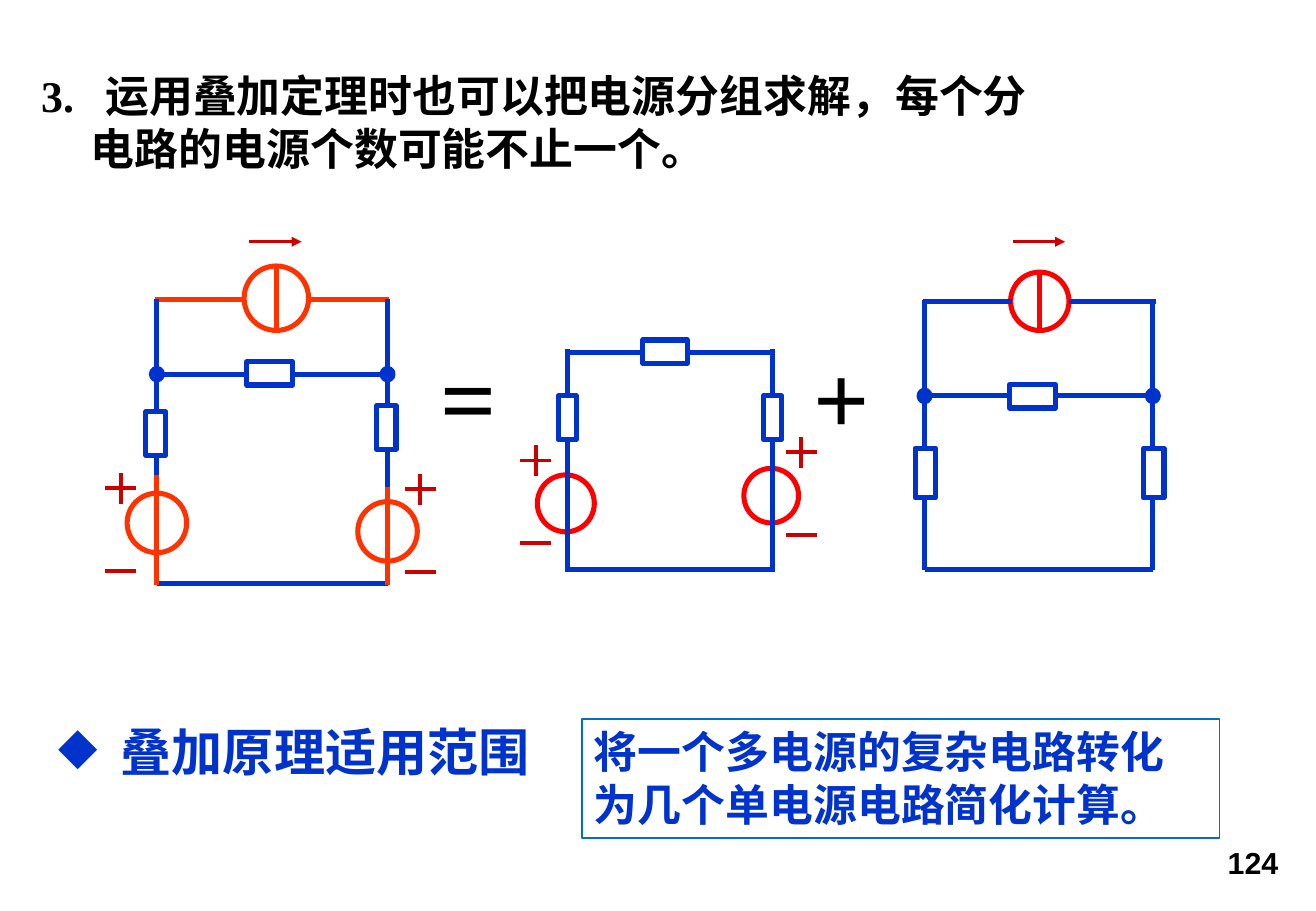
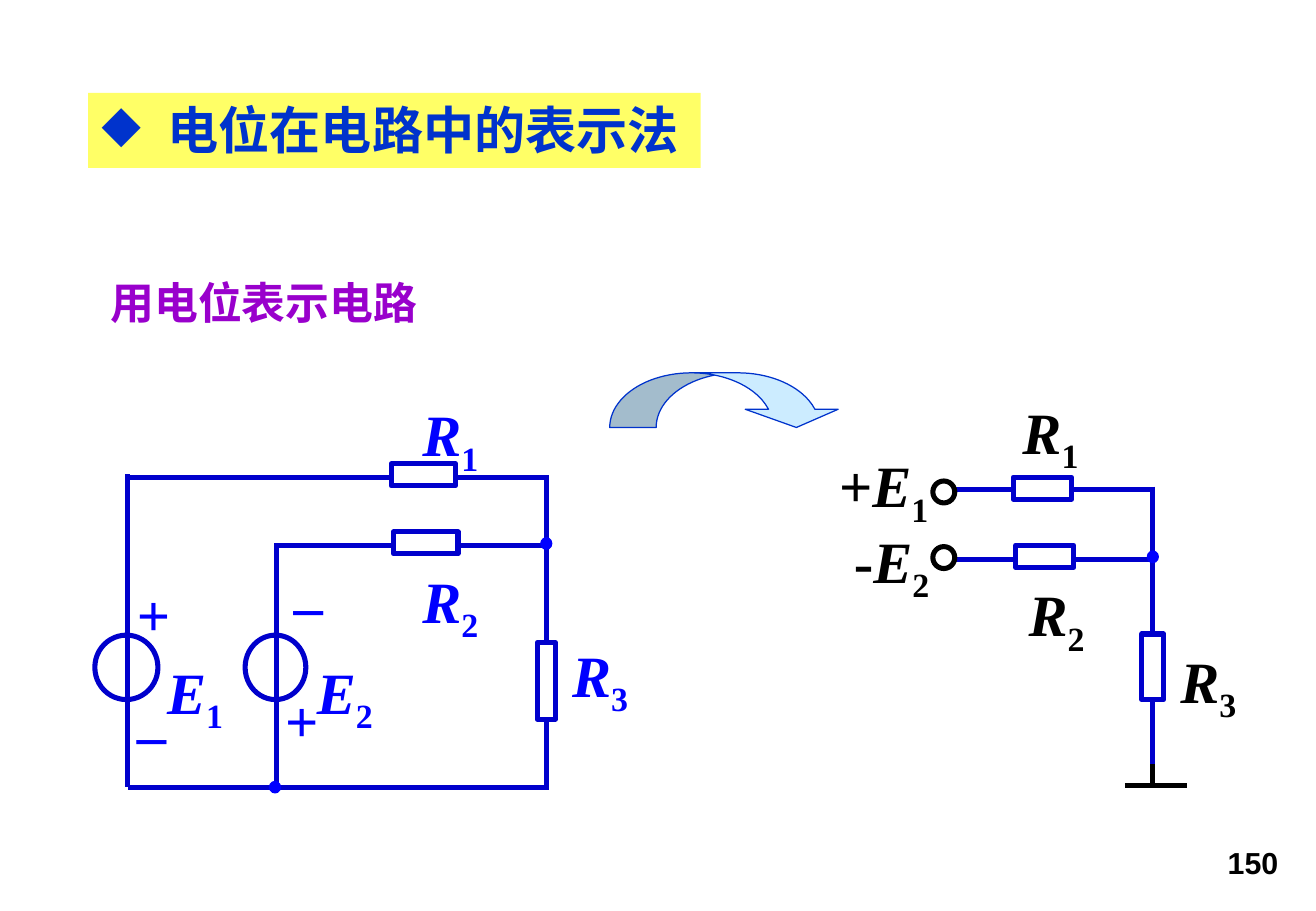
import itertools

import pptx
import pptx.dml.color
import pptx.enum.shapes
import pptx.enum.text
import pptx.oxml
import pptx.oxml.ns
import pptx.util
from lxml import etree

Pt = pptx.util.Pt
RGBColor = pptx.dml.color.RGBColor
SHAPE = pptx.enum.shapes.MSO_SHAPE
ALIGN = pptx.enum.text.PP_ALIGN
qn = pptx.oxml.ns.qn

BLACK = RGBColor(0x00, 0x00, 0x00)
WHITE = RGBColor(0xFF, 0xFF, 0xFF)
BLUE = RGBColor(0x00, 0x33, 0xCC)
NAVY = RGBColor(0x00, 0x00, 0xCC)
BRIGHT = RGBColor(0x00, 0x00, 0xFF)
RED = RGBColor(0xFF, 0x00, 0x00)
ORANGE = RGBColor(0xFF, 0x33, 0x00)
CRIMSON = RGBColor(0xCC, 0x00, 0x00)
FRAME = RGBColor(0x00, 0x70, 0xC0)
YELLOW = RGBColor(0xFF, 0xFF, 0x66)
PURPLE = RGBColor(0x99, 0x00, 0xCC)
SKY = RGBColor(0xCC, 0xEC, 0xFF)

SERIF = "Times New Roman"
WIRE = 3
BODY, HEADING, SYMBOL = 26, 30.3, 34.7


def add_line(s, start, end, color, width=WIRE, arrow=False):
    line = s.shapes.add_connector(
        pptx.enum.shapes.MSO_CONNECTOR.STRAIGHT, *map(Pt, (*start, *end)))
    line.line.color.rgb = color
    line.line.width = Pt(width)
    if arrow:
        etree.SubElement(line.line._get_or_add_ln(), qn("a:tailEnd"), type="triangle")
    etree.SubElement(line._element.spPr, qn("a:effectLst"))


def add_wire(s, color, *points):
    for start, end in itertools.pairwise(points):
        add_line(s, start, end, color)


def add_shape(s, kind, x, y, w, h, fill=None, color=None, width=WIRE):
    sp = s.shapes.add_shape(kind, Pt(x), Pt(y), Pt(w), Pt(h))
    sp.shadow.inherit = False
    if fill is None:
        sp.fill.background()
    else:
        sp.fill.solid()
        sp.fill.fore_color.rgb = fill
    if color is None:
        sp.line.fill.background()
    else:
        sp.line.color.rgb = color
        sp.line.width = Pt(width)
    return sp


def add_centred(s, kind, cx, cy, w, h, fill, color, width=WIRE):
    return add_shape(s, kind, cx - w / 2, cy - h / 2, w, h, fill, color, width)


def add_resistor(s, cx, cy, w, h, color):
    add_centred(s, SHAPE.RECTANGLE, cx, cy, w, h, WHITE, color)


def add_circle(s, cx, cy, w, h, color, fill=WHITE):
    add_centred(s, SHAPE.OVAL, cx, cy, w, h, fill, color)


def add_node(s, cx, cy, color, width=WIRE):
    add_centred(s, SHAPE.OVAL, cx, cy, 6.5, 6.8, color, color, width)


def add_current_source(s, cx, cy, d, color):
    add_circle(s, cx, cy, d, d, color)
    add_line(s, (cx, cy - d / 2), (cx, cy + d / 2), color)
    add_line(s, (cx - 16, 143.3), (cx + 15, 143.3), CRIMSON, 1.5, arrow=True)


def add_polarity(s, cx, cy):
    half, drop = 9.2, 49
    for y in (cy, cy + drop):
        add_line(s, (cx - half, y), (cx + half, y), CRIMSON, 2.25)
    add_line(s, (cx, cy + half), (cx, cy - half), CRIMSON, 2.25)


def style_run(r, size, color, font=SERIF, italic=False):
    r.font.name = font
    r.font.size = Pt(size)
    r.font.bold = True
    r.font.italic = italic
    r.font.color.rgb = color


def set_text(sp, text, size, color, font=SERIF, align=ALIGN.LEFT):
    tf = sp.text_frame
    tf.word_wrap = True
    tf.vertical_anchor = pptx.enum.text.MSO_ANCHOR.TOP
    tf.text = text
    for p in tf.paragraphs:
        p.alignment = align
        for r in p.runs:
            style_run(r, size, color, font)
    return tf


def add_text(s, x, y, w, h, text, size, color, **style):
    sp = s.shapes.add_textbox(Pt(x), Pt(y), Pt(w), Pt(h))
    return set_text(sp, text, size, color, **style)


def set_bullet(p, indent):
    pPr = p._p.get_or_add_pPr()
    pPr.set("marL", str(Pt(indent)))
    pPr.set("indent", str(-Pt(indent)))
    etree.SubElement(pPr, qn("a:buChar"), char="◆")


def add_label(s, x, y, color, sign="", letter="", sub=""):
    tf = s.shapes.add_textbox(Pt(x), Pt(y), Pt(80), Pt(50)).text_frame
    tf.word_wrap = True
    for text in filter(None, (sign, letter, sub)):
        r = tf.paragraphs[0].add_run()
        r.text = text
        style_run(r, SYMBOL, color, italic=text == letter)
        if text == sub:
            r._r.get_or_add_rPr().set("baseline", "-25000")


def add_page_number(s, number):
    add_text(s, 549.4, 496.8, 215.3, 28.8, number, 18, BLACK,
             font="Arial", align=ALIGN.RIGHT)


def draw_full_circuit(s):
    left, right, top, middle, bottom = 93, 229.7, 177.3, 221.8, 345.6
    add_wire(s, BLUE, (left, middle), (right, middle))
    add_wire(s, BLUE, (left, bottom), (right, bottom))
    add_wire(s, ORANGE, (left - 1, top), (143.3, top))
    add_wire(s, ORANGE, (181.4, top), (right + 1, top))
    for x, y, split, resistor_y in ((left, 310, 281.5, 257), (right, 315, 288.7, 253.4)):
        add_wire(s, BLUE, (x, top), (x, split))
        add_circle(s, x, y, 35.3, 35.3, ORANGE)
        add_wire(s, ORANGE, (x, split), (x, bottom + 1))
        add_resistor(s, x - 0.7, resistor_y, 11.5, 25.9, BLUE)
        add_node(s, x, middle, BLUE)
    add_resistor(s, 159.8, 221.4, 27.4, 13.7, BLUE)
    add_current_source(s, 163.8, 176.8, 38.2, ORANGE)
    add_polarity(s, 71.5, 289.4)
    add_polarity(s, 249, 290)


def draw_voltage_circuit(s):
    left, right, top, bottom = 336.2, 457.9, 208.8, 337.7
    add_wire(s, BLUE, (left, top), (right, top))
    add_wire(s, BLUE, (left, bottom), (right, bottom))
    for x, y, d in ((left, 298.4, 33.8), (right, 293.8, 32.4)):
        add_circle(s, x - 0.8, y, d, d, RED)
        add_wire(s, BLUE, (x, top - 2), (x, bottom + 1.5))
        add_resistor(s, x, 247.7, 10.8, 25.9, BLUE)
    add_resistor(s, 394.3, 208.4, 26.6, 13.7, BLUE)
    add_polarity(s, 317.5, 273)
    add_polarity(s, 475, 268)


def draw_current_circuit(s):
    left, right, top, middle, bottom = 548, 683.3, 178.6, 234.7, 337.7
    add_current_source(s, 616.3, top, 34.6, RED)
    add_wire(s, BLUE, (599.8, top), (left - 1, top))
    add_wire(s, BLUE, (633.6, top), (right + 2, top))
    for y in (middle, bottom):
        add_wire(s, BLUE, (left, y), (right, y))
    for x in (left, right):
        add_wire(s, BLUE, (x, top - 1), (x, bottom))
        add_resistor(s, x + 0.6, 280.4, 12.2, 29.5, BLUE)
        add_node(s, x, middle, BLUE)
    add_resistor(s, 612, 235, 27.4, 13.7, BLUE)


def draw_source_circuit(s):
    left, inner, right = 75.6, 164, 323.8
    top, middle, bottom = 283.2, 323.5, 466.6
    add_wire(s, NAVY, (left - 1.5, top), (right + 1.5, top))
    add_wire(s, NAVY, (inner - 1.5, middle), (right, middle))
    add_wire(s, NAVY, (left, bottom), (right + 1.5, bottom))
    add_wire(s, NAVY, (right, top - 1.5), (right, bottom))
    for x, wire_top, w in ((left, top - 2, 37.4), (inner, middle, 36)):
        add_circle(s, x - 0.7, 395.6, w, 38.2, NAVY)
        add_wire(s, NAVY, (x, wire_top), (x, bottom))
    add_resistor(s, 251, 281.5, 38.2, 13, NAVY)
    add_resistor(s, 252.4, 321.8, 38.2, 13, NAVY)
    add_resistor(s, right, 403.6, 10.8, 45.4, NAVY)
    add_node(s, inner - 1, bottom, BRIGHT, 0.75)
    add_node(s, right, 322.2, BRIGHT, 0.75)
    for x, y, letter, sub in (
            (92, 385.2, "E", "1"), (180.7, 385.2, "E", "2"), (243.3, 232.6, "R", "1"),
            (243.3, 331.2, "R", "2"), (332, 375.1, "R", "3")):
        add_label(s, x, y, BRIGHT, letter=letter, sub=sub)
    for x, y, sign in ((74.1, 339.1, "+"), (74.1, 398.2, "_"),
                       (162, 401.8, "+"), (167, 321.8, "_")):
        add_label(s, x, y, BRIGHT, sign)


def draw_potential_circuit(s):
    right, ground = 683.3, 465.8
    for wire_y, terminal_y, resistor_x, resistor_y in (
            (290.2, 291.6, 617.8, 289.4), (331.9, 330.5, 619.2, 329.8)):
        add_wire(s, NAVY, (565.5, wire_y), (right, wire_y))
        add_resistor(s, resistor_x, resistor_y, 34.6, 13, NAVY)
        add_circle(s, 559.4, terminal_y, 13, 13, BLACK, fill=None)
    add_wire(s, NAVY, (right, 288.5), (right, 463))
    add_resistor(s, right, 395.3, 13, 38.9, NAVY)
    add_node(s, right, 330.1, BRIGHT, 0.75)
    add_wire(s, BLACK, (666.7, ground), (703.4, ground))
    add_wire(s, BLACK, (right, ground), (right, 452.9))
    for x, y, sign, letter, sub in (
            (599, 231.1, "", "R", "1"), (602.6, 339.1, "", "R", "2"),
            (692.6, 378.7, "", "R", "3"), (490.3, 262.8, "+", "E", "1"),
            (499, 307.4, "-", "E", "2")):
        add_label(s, x, y, BLACK, sign, letter, sub)


def build_superposition(s):
    add_page_number(s, "124")
    tf = add_text(s, 17.3, 37.4, 705, 70.6,
                  "3.\t运用叠加定理时也可以把电源分组求解，每个分\n电路的电源个数可能不止一个。",
                  BODY, BLACK)
    first, second = (p._p.get_or_add_pPr() for p in tf.paragraphs)
    tabs = etree.SubElement(first, qn("a:tabLst"))
    etree.SubElement(tabs, qn("a:tab"), pos=str(Pt(38)), algn="l")
    second.set("marL", str(Pt(29.5)))
    second.set("indent", "0")
    for x, sign in ((254.2, "="), (475.2, "+")):
        add_text(s, x, 195.8, 80, 78.5, sign, 58.5, BLACK)
    draw_voltage_circuit(s)
    draw_current_circuit(s)
    draw_full_circuit(s)
    box = add_shape(s, SHAPE.RECTANGLE, 344.9, 426.2, 378, 70.6, None, FRAME, 0.75)
    set_text(box, "将一个多电源的复杂电路转化为几个单电源电路简化计算。", BODY, BLUE)
    tf = add_text(s, 27.4, 423.4, 426, 44, "叠加原理适用范围", HEADING, BLUE)
    set_bullet(tf.paragraphs[0], 37)


def build_potential(s):
    add_page_number(s, "150")
    band = add_shape(s, SHAPE.RECTANGLE, 52.3, 55, 363, 44.6, YELLOW)
    tf = set_text(band, "电位在电路中的表示法", HEADING, BLUE)
    tf.margin_left = tf.margin_right = Pt(7.9)
    set_bullet(tf.paragraphs[0], 39)
    draw_source_circuit(s)
    arrow = add_shape(s, SHAPE.CURVED_DOWN_ARROW, 361.4, 221, 138.2, 32.4, SKY, BLUE, 0.75)
    for i, value in enumerate((0.85, 1.7, 0.333)):
        arrow.adjustments[i] = value
    draw_potential_circuit(s)
    add_text(s, 58.3, 159.8, 273, 39, "用电位表示电路", BODY, PURPLE)


def main():
    prs = pptx.Presentation()
    prs.slide_width, prs.slide_height = Pt(780), Pt(540)
    for build in (build_superposition, build_potential):
        build(prs.slides.add_slide(prs.slide_layouts[6]))
    prs.save("out.pptx")


if __name__ == "__main__":
    main()
